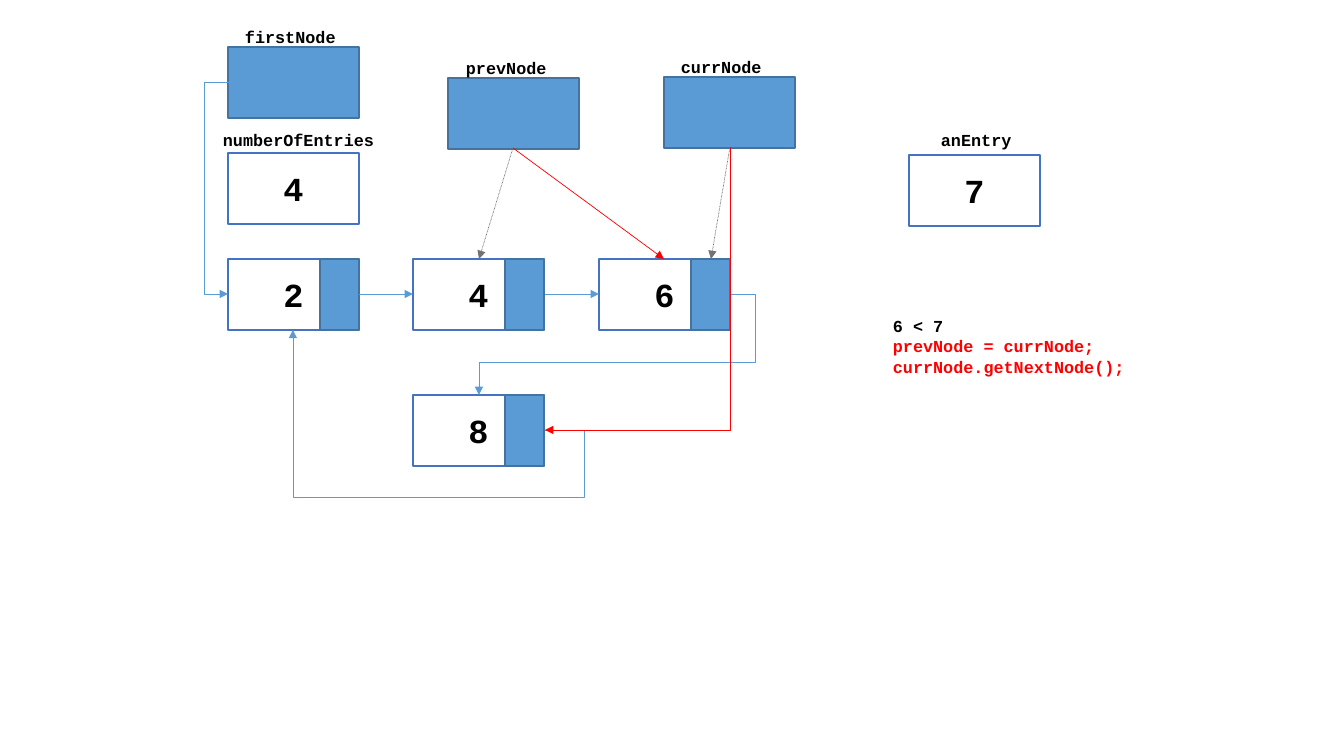
import pptx
import pptx.util
import pptx.dml.color
import pptx.enum.dml
import pptx.enum.shapes
import pptx.enum.text
import pptx.oxml.ns
from lxml import etree

PIXEL = 914400 / 100.8
COLORS = {
    "pointer": "5B9BD5", "pointer_edge": "43739E",
    "value": "FFFFFF", "value_edge": "4472C4",
    "text": "000000", "change": "FF0000", "past": "767171",
}
BOX_WIDTH, BOX_HEIGHT = 131, 71
LINK_OFFSET, LINK_WIDTH = 92, 39

deck = pptx.Presentation()
deck.slide_width = round(1344 * PIXEL)
deck.slide_height = round(756 * PIXEL)
page = deck.slides.add_slide(deck.slide_layouts[6])


def scale(*lengths):
    return [round(length * PIXEL) for length in lengths]


def write_text(frame, text, size=12, color="text", align="LEFT", new_paragraph=False):
    para = frame.add_paragraph() if new_paragraph else frame.paragraphs[0]
    para.alignment = getattr(pptx.enum.text.PP_ALIGN, align)
    span = para.add_run()
    span.text = text
    span.font.name = "Courier New"
    span.font.size = pptx.util.Pt(size)
    span.font.bold = True
    span.font.color.rgb = pptx.dml.color.RGBColor.from_string(COLORS[color])


nodes = [("2", 228, 259), ("4", 413, 259), ("6", 599, 259), ("8", 413, 395)]
boxes = [
    ("pointer", "", 228, 47, BOX_WIDTH),
    ("pointer", "", 448, 78, BOX_WIDTH),
    ("pointer", "", 664, 77, BOX_WIDTH),
    ("value", "4", 228, 153, BOX_WIDTH),
    ("value", "7", 909, 155, BOX_WIDTH),
]
for value, left, top in nodes:
    boxes.append(("value", value, left, top, BOX_WIDTH))
    boxes.append(("pointer", "", left + LINK_OFFSET, top, LINK_WIDTH))

for role, value, left, top, width in boxes:
    box = page.shapes.add_shape(
        pptx.enum.shapes.MSO_SHAPE.RECTANGLE, *scale(left, top, width, BOX_HEIGHT))
    box.shadow.inherit = False
    box.fill.solid()
    box.fill.fore_color.rgb = pptx.dml.color.RGBColor.from_string(COLORS[role])
    box.line.color.rgb = pptx.dml.color.RGBColor.from_string(COLORS[role + "_edge"])
    box.line.width = pptx.util.Pt(1)
    if value:
        box.text_frame.vertical_anchor = pptx.enum.text.MSO_ANCHOR.MIDDLE
        write_text(box.text_frame, value, size=24, align="CENTER")

labels = [
    ([("firstNode", "text")], 235, 22, 183, 30),
    ([("numberOfEntries", "text")], 213, 125, 183, 30),
    ([("prevNode", "text")], 456, 53, 183, 30),
    ([("currNode", "text")], 671, 52, 183, 30),
    ([("anEntry", "text")], 931, 125, 183, 30),
    ([("6 < 7", "text"), ("prevNode = currNode;", "change"),
      ("currNode.getNextNode();", "change")], 883, 311, 354, 72),
]
for lines, *area in labels:
    label = page.shapes.add_textbox(*scale(*area))
    label.text_frame.word_wrap = True
    for index, (text, color) in enumerate(lines):
        write_text(label.text_frame, text, color=color, new_paragraph=index > 0)

arrows = [
    ("line", (359, 294, 413, 294), "pointer", [], 0),
    ("line", (545, 294, 599, 294), "pointer", [], 0),
    ("bentConnector4", (545, 430, 293, 330), "pointer", [-15500, -67300], 0),
    ("bentConnector4", (730, 294, 479, 395), "pointer", [-10000, 67500], 0),
    ("bentConnector3", (229, 82, 228, 294), "pointer", [2500000], 0),
    ("line", (513, 148, 479, 259), "past", [], 0),
    ("line", (730, 147, 711, 259), "past", [], 0),
    ("line", (513, 148, 664, 259), "change", [], 0),
    ("bentConnector2", (496, 196, 779, 381), "change", [], 90),
]
for preset, ends, color, bends, turn in arrows:
    kind = "STRAIGHT" if preset == "line" else "ELBOW"
    arrow = page.shapes.add_connector(
        getattr(pptx.enum.shapes.MSO_CONNECTOR, kind), *scale(*ends))
    arrow.line.width = pptx.util.Pt(0.5)
    arrow.line.color.rgb = pptx.dml.color.RGBColor.from_string(COLORS[color])
    if color == "past":
        arrow.line.dash_style = pptx.enum.dml.MSO_LINE.ROUND_DOT
    properties = arrow._element.spPr
    geometry = properties.find(pptx.oxml.ns.qn("a:prstGeom"))
    geometry.set("prst", preset)
    guides = geometry.find(pptx.oxml.ns.qn("a:avLst"))
    for number, bend in enumerate(bends, 1):
        etree.SubElement(guides, pptx.oxml.ns.qn("a:gd"),
                         name=f"adj{number}", fmla=f"val {bend}")
    if turn:
        properties.find(pptx.oxml.ns.qn("a:xfrm")).set("rot", str(turn * 60000))
    outline = properties.find(pptx.oxml.ns.qn("a:ln"))
    etree.SubElement(outline, pptx.oxml.ns.qn("a:tailEnd"), type="triangle")
    etree.SubElement(properties, pptx.oxml.ns.qn("a:effectLst"))

deck.save("out.pptx")
